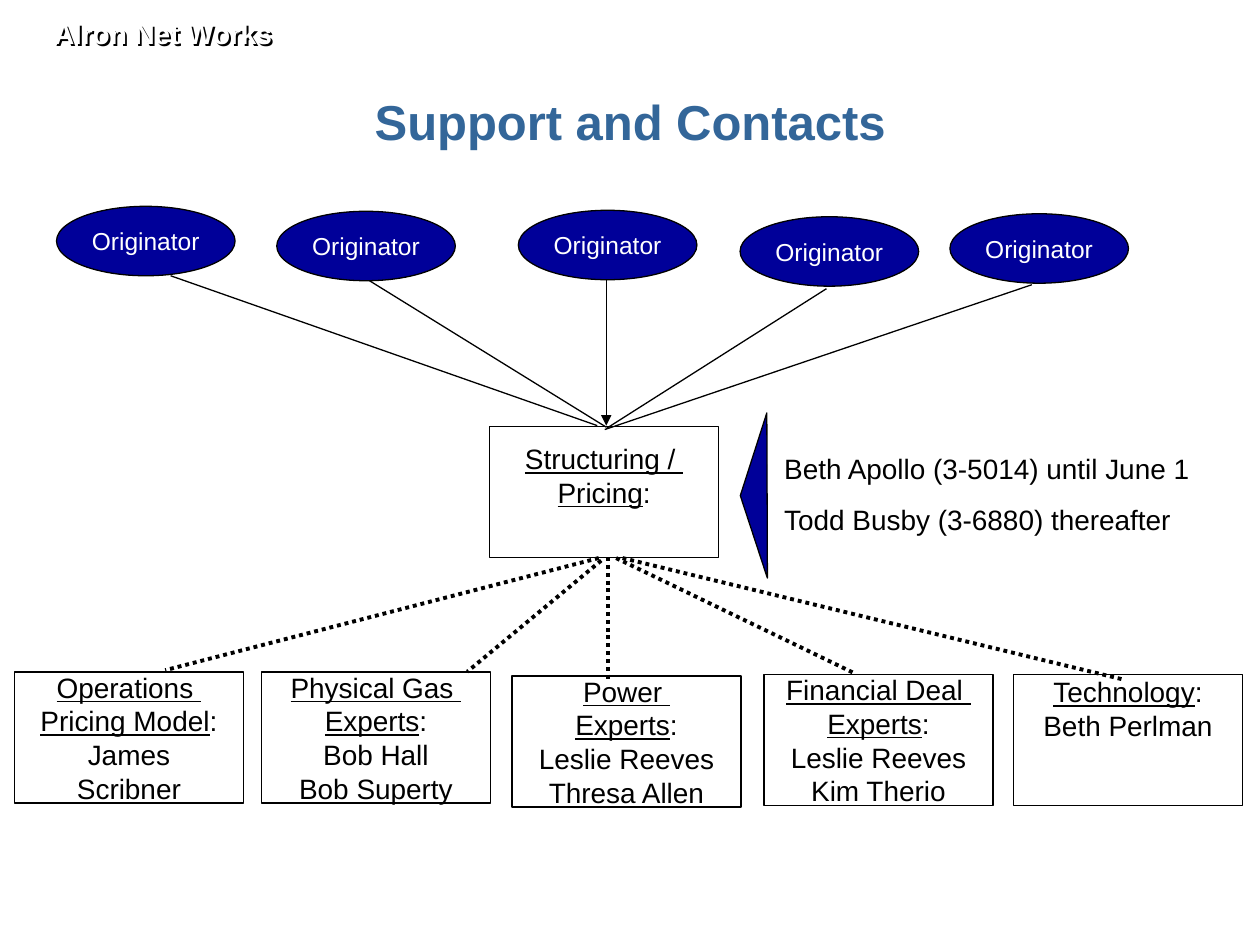
"""Build the support and contacts slide."""
from lxml.etree import SubElement
from pptx import Presentation
from pptx.dml.color import RGBColor
from pptx.enum.dml import MSO_LINE
from pptx.enum.shapes import MSO_CONNECTOR, MSO_SHAPE
from pptx.enum.text import MSO_ANCHOR, PP_ALIGN
from pptx.oxml import parse_xml
from pptx.oxml.ns import nsdecls, qn
from pptx.util import Cm, Pt

hex_color = RGBColor.from_string
BLACK, WHITE, NAVY, STEEL = "000000", "FFFFFF", "000099", "336699"


def write(frame, lines, size, color, align=PP_ALIGN.CENTER, bold=False, gap=0):
    for index, line in enumerate(lines):
        paragraph = frame.paragraphs[0] if index == 0 else frame.add_paragraph()
        paragraph.alignment = align
        paragraph.space_before = Pt(gap if index else 0)
        for text, underlined in line:
            run = paragraph.add_run()
            run.text = text
            run.font.name = "Arial"
            run.font.size = Pt(size)
            run.font.bold = bold
            run.font.underline = underlined
            run.font.color.rgb = hex_color(color)


def add_node(kind, left, top, width, height, fill=None):
    node = slide.shapes.add_shape(kind, Cm(left), Cm(top), Cm(width), Cm(height))
    node.shadow.inherit = False
    if fill:
        node.fill.solid()
        node.fill.fore_color.rgb = hex_color(fill)
    else:
        node.fill.background()
    node.line.color.rgb = hex_color(BLACK)
    node.line.width = Pt(0.75)
    node.text_frame.word_wrap = False
    node.text_frame.vertical_anchor = MSO_ANCHOR.MIDDLE
    return node


prs = Presentation()
prs.slide_width, prs.slide_height = Cm(25.4), Cm(19.05)
slide = prs.slides.add_slide(prs.slide_layouts[6])

company = slide.shapes.add_textbox(Cm(0.84), Cm(0.2), Cm(8.53), Cm(0.94))
company.text_frame.word_wrap = True
company.text_frame.vertical_anchor = MSO_ANCHOR.MIDDLE
write(company.text_frame, [[("Alron Net Works", False)]], 16, WHITE, PP_ALIGN.LEFT, True)
company._element.spPr.append(parse_xml(
    f'<a:effectLst {nsdecls("a")}><a:outerShdw dist="20000" dir="2700000" algn="ctr" '
    f'rotWithShape="0"><a:srgbClr val="{BLACK}"/></a:outerShdw></a:effectLst>'))

title = slide.shapes.add_textbox(Cm(0.69), Cm(1.71), Cm(24.03), Cm(1.45)).text_frame
title.word_wrap = True
title.vertical_anchor = MSO_ANCHOR.MIDDLE
write(title, [[("Support and Contacts", False)]], 28, STEEL, bold=True)

for left, top in [(1.14, 4.16), (5.58, 4.26), (10.45, 4.24), (14.92, 4.37), (19.15, 4.31)]:
    originator = add_node(MSO_SHAPE.OVAL, left, top, 3.6, 1.4, NAVY)
    write(originator.text_frame, [[("Originator", False)]], 14, WHITE)

teams = [
    (9.87, 8.6, ["Structuring / ", "Pricing"], [], 0.31),
    (0.29, 13.55, ["Operations ", "Pricing Model"], ["James", "Scribner"], None),
    (5.27, 13.55, ["Physical Gas ", "Experts"], ["Bob Hall", "Bob Superty"], None),
    (10.32, 13.63, ["Power ", "Experts"], ["Leslie Reeves", "Thresa Allen"], None),
    (15.4, 13.6, ["Financial Deal ", "Experts"], ["Leslie Reeves", "Kim Therio"], None),
    (20.43, 13.6, ["Technology"], ["Beth Perlman"], 0),
]
for left, top, heading, people, top_inset in teams:
    team = add_node(MSO_SHAPE.FLOWCHART_PROCESS, left, top, 4.62, 2.64).text_frame
    if top_inset is not None:
        team.vertical_anchor = MSO_ANCHOR.TOP
        team.margin_top = Cm(top_inset)
    lines = [[(text, True)] for text in heading]
    lines[-1].append((":", False))
    write(team, lines + [[(person, False)] for person in people], 16, BLACK)

requests = [
    (3.44, 5.56, 12.04, 8.58),
    (7.45, 5.66, 12.22, 8.61),
    (12.22, 5.64, 12.22, 8.58),
    (16.66, 5.82, 12.22, 8.64),
    (20.8, 5.74, 12.19, 8.66),
]
support_links = [
    (12.07, 11.25, 3.33, 13.51),
    (12.12, 11.3, 9.42, 13.54),
    (12.25, 11.23, 12.25, 13.69),
    (12.42, 11.25, 17.2, 13.56),
    (12.55, 11.25, 22.61, 13.69),
]
for ends in requests + support_links:
    link = slide.shapes.add_connector(MSO_CONNECTOR.STRAIGHT, *map(Cm, ends))
    link.line.color.rgb = hex_color(BLACK)
    link.line.width = Pt(0.75)
    if ends in support_links:
        link.line.width = Pt(2.25)
        link.line.dash_style = MSO_LINE.ROUND_DOT
    elif ends[0] == ends[2]:
        SubElement(link.line._get_or_add_ln(), qn("a:tailEnd"), type="triangle")
    SubElement(link._element.spPr, qn("a:effectLst"))

pointer = add_node(MSO_SHAPE.FLOWCHART_EXTRACT, 13.53, 9.72, 3.33, 0.54, NAVY)
pointer.rotation = 269.8

contacts = slide.shapes.add_textbox(Cm(15.56), Cm(8.97), Cm(8.74), Cm(1.96)).text_frame
contacts.word_wrap = True
write(contacts, [[("Beth Apollo (3-5014) until June 1", False)],
                 [("Todd Busby (3-6880) thereafter", False)]],
      16, BLACK, PP_ALIGN.LEFT, gap=10)

prs.save("out.pptx")
